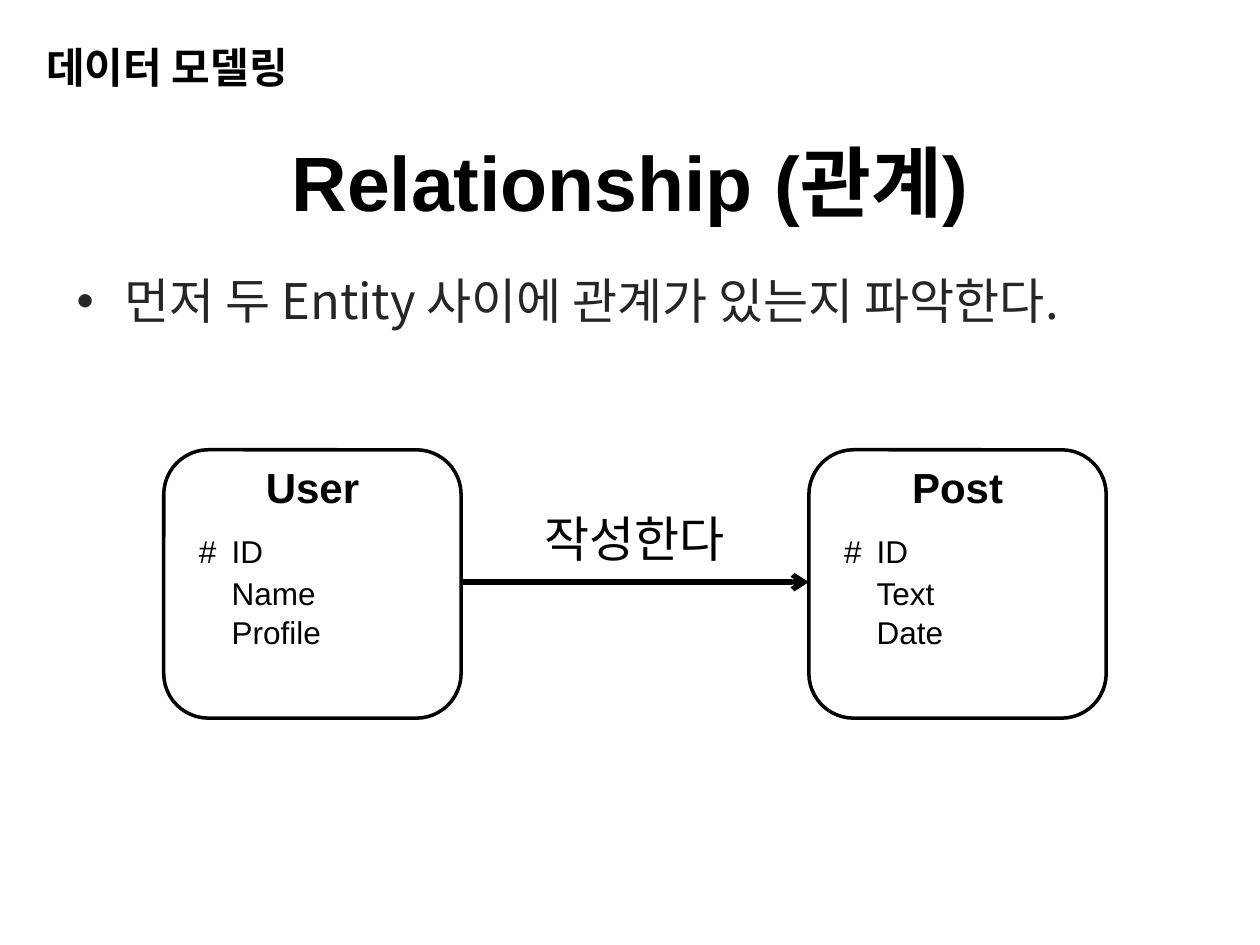
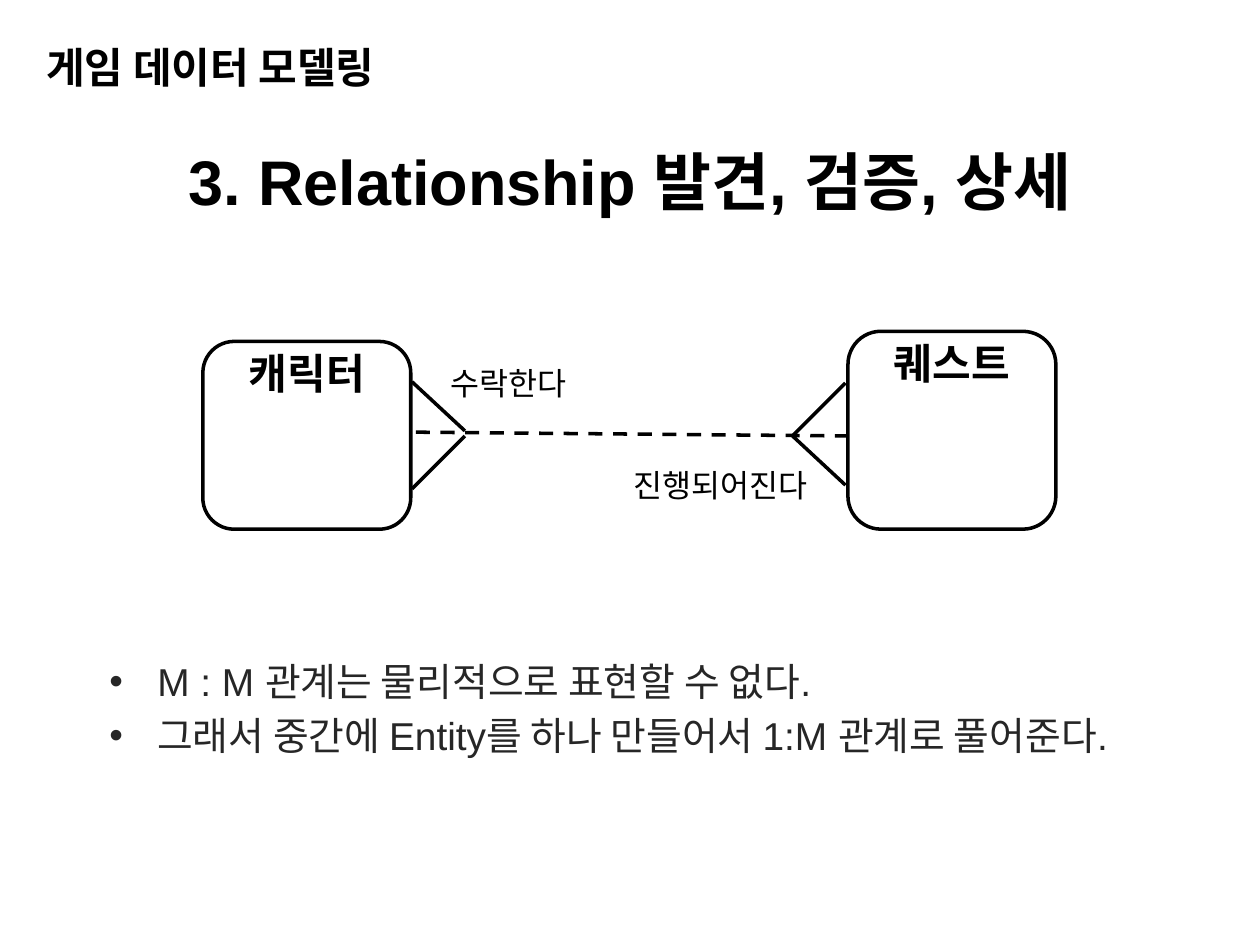
from lxml import etree
from pptx import Presentation
from pptx.dml.color import RGBColor
from pptx.enum.dml import MSO_LINE
from pptx.enum.shapes import MSO_CONNECTOR, MSO_SHAPE
from pptx.enum.text import MSO_ANCHOR, PP_ALIGN
from pptx.oxml.ns import qn
from pptx.util import Inches, Pt

# Shared style
BLACK, GREY = "000000", "262626"
LATIN, KOREAN = "Arial", "Noto Sans CJK KR"
BULLET_INDENT = 0.38

# Slide 1: two entities with attributes and the relationship between them
RELATIONSHIP = {
    "section": "데이터 모델링",
    "title": "Relationship (관계)",
    "bullets": ["먼저 두 Entity 사이에 관계가 있는지 파악한다."],
    "entities": [
        (1.3, "User", ["ID", "Name", "Profile"]),
        (6.42, "Post", ["ID", "Text", "Date"]),
    ],
    "verb": "작성한다",
}
ENTITY_TOP, ENTITY_WIDTH, ENTITY_HEIGHT = 3.57, 2.36, 2.13
ATTRIBUTE_TOPS = [4.17, 4.51, 4.82]

# Slide 2: a many-to-many relationship
MANY_TO_MANY = {
    "section": "게임 데이터 모델링",
    "title": "3. Relationship 발견, 검증, 상세",
    "bullets": [
        "M : M 관계는 물리적으로 표현할 수 없다.",
        "그래서 중간에 Entity를 하나 만들어서 1:M 관계로 풀어준다.",
    ],
    "entities": [(1.61, 2.71, 1.65, 1.49, "캐릭터"), (6.73, 2.63, 1.65, 1.57, "퀘스트")],
    "verbs": [(3.48, 2.84, 1.45, "수락한다"), (4.93, 3.65, 1.72, "진행되어진다")],
    "crow_feet": [
        ((3.69, 3.42), (3.27, 3.03)),
        ((3.69, 3.46), (3.27, 3.88)),
        ((6.29, 3.46), (6.71, 3.04)),
        ((6.29, 3.46), (6.71, 3.85)),
    ],
    "link": ((3.3, 3.43), (6.72, 3.46)),
}


def color(hex_string):
    return RGBColor.from_string(hex_string)


def add_text(slide, text, left, top, width, height, size=18, bold=False, fill=BLACK,
             font=LATIN, align=PP_ALIGN.LEFT, anchor=MSO_ANCHOR.TOP, bullet=False):
    """Add a text box; a list of strings gives one paragraph each."""
    box = slide.shapes.add_textbox(Inches(left), Inches(top), Inches(width), Inches(height))
    frame = box.text_frame
    frame.word_wrap = True
    frame.vertical_anchor = anchor
    if bullet:
        frame.margin_right = 0
    for index, line in enumerate([text] if isinstance(text, str) else text):
        paragraph = frame.paragraphs[0] if index == 0 else frame.add_paragraph()
        paragraph.alignment = align
        if index:
            paragraph.space_before = Pt(round(size * 0.2, 1))
        if bullet:
            properties = paragraph._p.get_or_add_pPr()
            properties.set("marL", str(Inches(BULLET_INDENT)))
            properties.set("indent", str(-Inches(BULLET_INDENT)))
            etree.SubElement(properties, qn("a:buFont"), typeface=LATIN)
            etree.SubElement(properties, qn("a:buChar"), char="•")
        run = paragraph.add_run()
        run.text = line
        run.font.size, run.font.bold, run.font.name = Pt(size), bold, font
        run.font.color.rgb = color(fill)
        etree.SubElement(run._r.get_or_add_rPr(), qn("a:ea"), typeface=KOREAN)


def add_entity(slide, left, top, width, height):
    shape = slide.shapes.add_shape(MSO_SHAPE.ROUNDED_RECTANGLE, Inches(left), Inches(top),
                                   Inches(width), Inches(height))
    shape.shadow.inherit = False
    shape.fill.background()
    shape.line.color.rgb = color(BLACK)
    shape.line.width = Pt(2)


def add_line(slide, start, end, width=2, dashed=False, arrow=False):
    points = [Inches(value) for value in (*start, *end)]
    connector = slide.shapes.add_connector(MSO_CONNECTOR.STRAIGHT, *points)
    connector.line.color.rgb = color(BLACK)
    connector.line.width = Pt(width)
    if dashed:
        connector.line.dash_style = MSO_LINE.DASH
    if arrow:
        etree.SubElement(connector.line._get_or_add_ln(), qn("a:tailEnd"), type="arrow")
    etree.SubElement(connector._element.spPr, qn("a:effectLst"))


def add_slide(presentation, content, title_size):
    """Add a blank slide with the section name and the centred title."""
    slide = presentation.slides.add_slide(presentation.slide_layouts[6])
    add_text(slide, content["title"], 0, 0.84, 10, 1.18, size=title_size, bold=True,
             align=PP_ALIGN.CENTER, anchor=MSO_ANCHOR.MIDDLE)
    add_text(slide, content["section"], 0.27, 0.28, 4.57, 0.55, size=24, bold=True)
    return slide


def build_relationship(presentation):
    content = RELATIONSHIP
    slide = add_slide(presentation, content, 44)
    add_text(slide, content["bullets"], 0.51, 2.1, 8.98, 0.63, size=28, fill=GREY,
             font=KOREAN, bullet=True)

    # Entities: name, key mark and attributes
    for left, name, attributes in content["entities"]:
        add_entity(slide, left, ENTITY_TOP, ENTITY_WIDTH, ENTITY_HEIGHT)
        add_text(slide, name, left + 0.235, 3.61, 1.89, 0.5, size=24, bold=True,
                 align=PP_ALIGN.CENTER)
        add_text(slide, "#", left + 0.18, ATTRIBUTE_TOPS[0], 0.31, 0.4)
        for attribute, top in zip(attributes, ATTRIBUTE_TOPS):
            add_text(slide, attribute, left + 0.44, top, 1.92, 0.4)

    # Arrow from the first entity to the second
    (user_left, *_), (post_left, *_) = content["entities"]
    add_line(slide, (user_left + ENTITY_WIDTH, 4.62), (post_left, 4.62), width=3, arrow=True)
    add_text(slide, content["verb"], 4.13, 3.99, 1.81, 0.57, size=28, align=PP_ALIGN.CENTER)


def build_many_to_many(presentation):
    content = MANY_TO_MANY
    slide = add_slide(presentation, content, 36)
    for left, top, width, height, name in content["entities"]:
        add_entity(slide, left, top, width, height)
        add_text(slide, name, left, top, width, 0.5, size=24, bold=True,
                 align=PP_ALIGN.CENTER)

    # Dashed link with a crow's foot at each end
    for start, end in content["crow_feet"]:
        add_line(slide, start, end)
    add_line(slide, *content["link"], dashed=True)
    for left, top, width, verb in content["verbs"]:
        add_text(slide, verb, left, top, width, 0.4)

    add_text(slide, content["bullets"], 0.77, 5.17, 8.56, 1.26, size=22.2, fill=GREY,
             bullet=True)


def main():
    presentation = Presentation()
    presentation.slide_width, presentation.slide_height = Inches(10), Inches(7.5)
    build_relationship(presentation)
    build_many_to_many(presentation)
    presentation.save("out.pptx")


if __name__ == "__main__":
    main()
